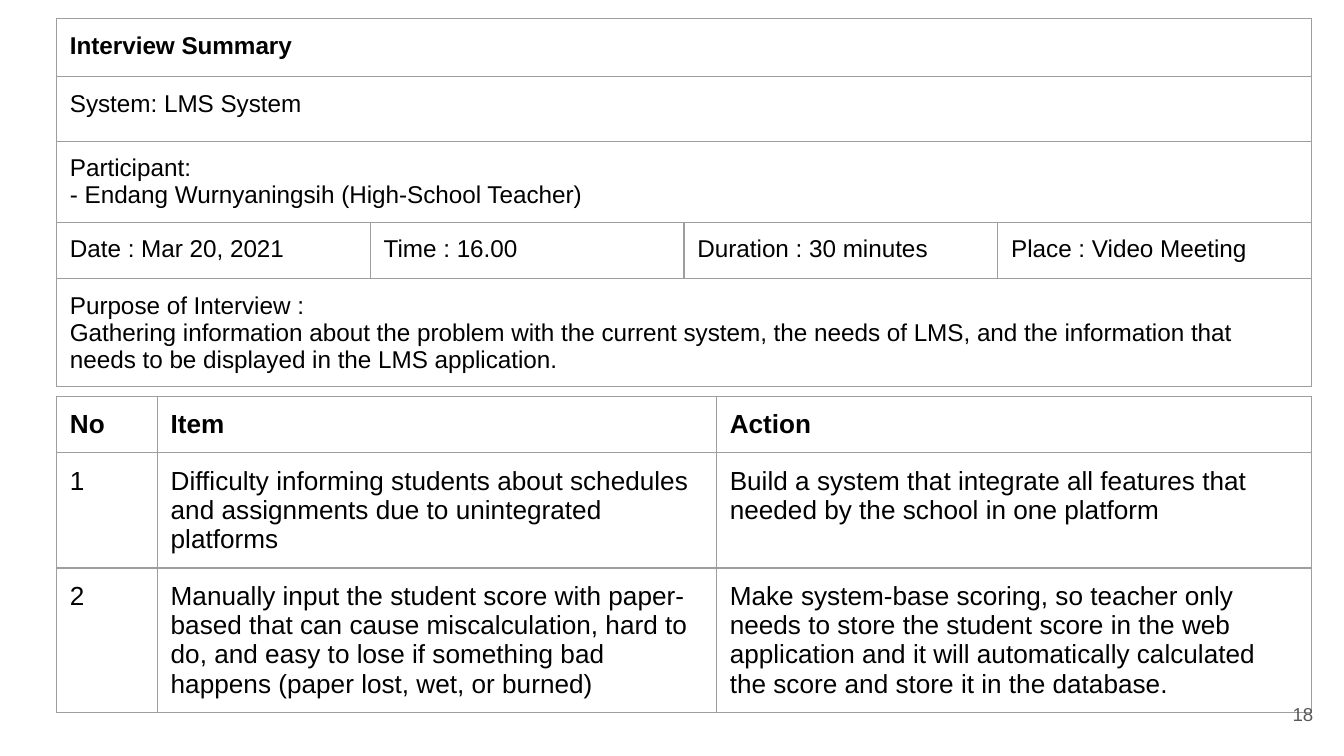
from lxml.etree import SubElement
from pptx import Presentation
from pptx.dml.color import RGBColor
from pptx.enum.text import MSO_ANCHOR, PP_ALIGN
from pptx.oxml.ns import qn
from pptx.util import Inches, Pt

BLACK = RGBColor(0x00, 0x00, 0x00)
GRAY = RGBColor(0x59, 0x59, 0x59)
BORDER = RGBColor(0x9E, 0x9E, 0x9E)
MARGIN = Inches(0.1)
LEFT = 0.42
TABLE_WIDTH = 9.34


def style_text(holder, size, color, bold=False):
    holder.margin_left = holder.margin_right = MARGIN
    holder.margin_top = holder.margin_bottom = MARGIN
    # A table cell keeps its text in a frame; a text frame is its own holder
    frame = getattr(holder, "text_frame", holder)
    for paragraph in frame.paragraphs:
        for span in paragraph.runs:
            span.font.name = "Arial"
            span.font.size = Pt(size)
            span.font.bold = bold
            span.font.color.rgb = color


def add_grid(page, top, widths, heights, rows, size):
    shape = page.shapes.add_table(
        len(heights), len(widths), Inches(LEFT), Inches(top),
        Inches(TABLE_WIDTH), Inches(sum(heights)))
    table = shape.table
    for column, width in zip(table.columns, widths):
        column.width = Inches(width)
    for row, height in zip(table.rows, heights):
        row.height = Inches(height)

    # Plain cells with thin borders
    for cell in table.iter_cells():
        properties = cell._tc.get_or_add_tcPr()
        for side in ("a:lnL", "a:lnR", "a:lnT", "a:lnB"):
            line = SubElement(properties, qn(side), w=str(Pt(0.75)))
            fill = SubElement(line, qn("a:solidFill"))
            SubElement(fill, qn("a:srgbClr"), val=str(BORDER))
        cell.fill.background()

    # A row with a single text spans the whole table
    for row_index, texts in enumerate(rows):
        if len(texts) == 1:
            table.cell(row_index, 0).merge(table.cell(row_index, len(widths) - 1))
        for column_index, text in enumerate(texts):
            cell = table.cell(row_index, column_index)
            cell.text_frame.text = text
            style_text(cell, size, BLACK, bold=row_index == 0)


# Widescreen deck, 16:9
deck = Presentation()
deck.slide_width = Inches(10)
deck.slide_height = Inches(10 * 9 / 16)
page = deck.slides.add_slide(deck.slide_layouts[6])

# Interview details
details = [
    ["Interview Summary"],
    ["System: LMS System"],
    ["Participant:\n- Endang Wurnyaningsih (High-School Teacher)"],
    ["Date : Mar 20, 2021", "Time : 16.00", "Duration : 30 minutes",
     "Place : Video Meeting"],
    ["Purpose of Interview :\nGathering information about the problem with the "
     "current system, the needs of LMS, and the information that needs to be "
     "displayed in the LMS application."],
]
add_grid(page, 0.14, [TABLE_WIDTH / 4] * 4, [0.43, 0.48, 0.43, 0.42, 0.73],
         details, 13)

# Findings and actions
findings = [
    ["No", "Item", "Action"],
    ["1",
     "Difficulty informing students about schedules and assignments due to "
     "unintegrated platforms",
     "Build a system that integrate all features that needed by the school in "
     "one platform"],
    ["2",
     "Manually input the student score with paper-based that can cause "
     "miscalculation, hard to do, and easy to lose if something bad happens "
     "(paper lost, wet, or burned)",
     "Make system-base scoring, so teacher only needs to store the student "
     "score in the web application and it will automatically calculated the "
     "score and store it in the database."],
]
add_grid(page, 2.95, [0.75, 4.16, 4.43], [0.42] * 3, findings, 14)

# Page number
box = page.shapes.add_textbox(Inches(9.27), Inches(5.1), Inches(0.6), Inches(0.43))
frame = box.text_frame
frame.word_wrap = True
frame.vertical_anchor = MSO_ANCHOR.MIDDLE
frame.text = "18"
frame.paragraphs[0].alignment = PP_ALIGN.RIGHT
style_text(frame, 10, GRAY)

deck.save("out.pptx")
